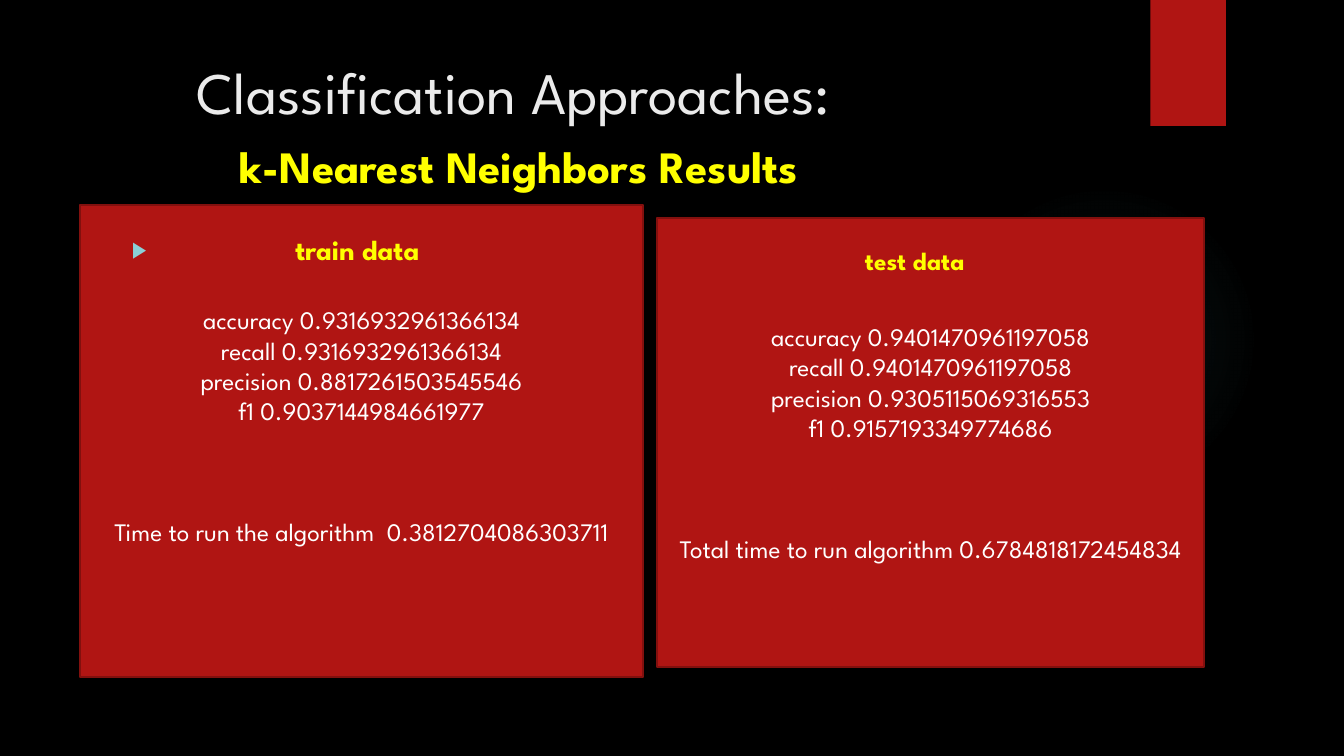
from lxml.etree import fromstring
from pptx import Presentation
from pptx.dml.color import RGBColor
from pptx.enum.shapes import MSO_SHAPE
from pptx.enum.text import MSO_ANCHOR, MSO_AUTO_SIZE, PP_ALIGN
from pptx.oxml.ns import nsdecls
from pptx.util import Inches, Pt

BLACK = RGBColor(0, 0, 0)
RED = RGBColor(0xB0, 0x15, 0x13)
DARK = RGBColor(0x82, 0x10, 0x0E)
WHITE = RGBColor(255, 255, 255)
PALE = RGBColor(0xEB, 0xEB, 0xEB)
YELLOW = RGBColor(255, 255, 0)
AQUA = RGBColor(0x8A, 0xD0, 0xD6)
TEAL = RGBColor(0x50, 0xB9, 0xC1)
FACE = "League Spartan"

TRAIN = ["accuracy 0.9316932961366134", "recall 0.9316932961366134",
         "precision 0.8817261503545546", "f1 0.9037144984661977",
         "Time to run the algorithm  0.3812704086303711"]
TEST = ["accuracy 0.9401470961197058", "recall 0.9401470961197058",
        "precision 0.9305115069316553", "f1 0.9157193349774686",
        "Total time to run algorithm 0.6784818172454834"]


def style(para, size, color, bold=False):
    font = para.font
    font.name, font.size, font.bold = FACE, Pt(size), bold
    font.color.rgb = color


def add_box(slide, kind, box):
    shape = slide.shapes.add_shape(kind, *map(Inches, box))
    shape.shadow.inherit = False
    shape.line.fill.background()
    shape.fill.solid()
    shape.fill.fore_color.rgb = RED
    return shape


def add_glow(slide, box):
    glow = add_box(slide, MSO_SHAPE.OVAL, box)
    stops = "".join(
        f'<a:gs pos="{pos}000"><a:srgbClr val="{TEAL}">'
        f'<a:alpha val="{alpha}000"/></a:srgbClr></a:gs>'
        for pos, alpha in [(0, 7), (36, 6), (69, 0)])
    grad = fromstring(
        f'<a:gradFill {nsdecls("a")}><a:gsLst>{stops}</a:gsLst>'
        '<a:path path="circle"><a:fillToRect l="50000" t="50000" '
        'r="50000" b="50000"/></a:path></a:gradFill>')
    props = glow._element.spPr
    props.replace(props.solidFill, grad)


def add_title(slide, box):
    title = slide.shapes.title
    title.left, title.top, title.width, title.height = map(Inches, box)
    frame = title.text_frame
    frame.auto_size = MSO_AUTO_SIZE.NONE
    frame.vertical_anchor = MSO_ANCHOR.TOP
    frame.text = "Classification Approaches:\nk-Nearest Neighbors Results"
    looks = [(42, PALE, False, 1.14, 0), (32, YELLOW, True, 1.57, 9)]
    for para, (size, color, bold, left, gap) in zip(frame.paragraphs, looks):
        style(para, size, color, bold)
        para.alignment = PP_ALIGN.LEFT
        para.space_before = Pt(gap)
        para._p.get_or_add_pPr().set("marL", str(Inches(left)))


def add_panel(slide, box, lines, foot):
    panel = add_box(slide, MSO_SHAPE.RECTANGLE, box)
    panel.line.color.rgb = DARK
    panel.line.width = Pt(1.5)
    frame = panel.text_frame
    frame.word_wrap = True
    frame.vertical_anchor = MSO_ANCHOR.MIDDLE
    frame.margin_bottom = Inches(foot)
    frame.text = "\n".join(lines)
    for para in frame.paragraphs:
        style(para, 18, WHITE)
        para.alignment = PP_ALIGN.CENTER
    frame.paragraphs[-1].space_before = Pt(65)


def add_head(slide, box, text, size):
    label = slide.shapes.add_textbox(*map(Inches, box))
    frame = label.text_frame
    frame.word_wrap = True
    frame.text = text
    para = frame.paragraphs[0]
    style(para, size, YELLOW, True)
    return para


def add_bullet(para, indent):
    props = para._p.get_or_add_pPr()
    props.set("marL", str(Inches(indent)))
    props.set("indent", str(-Inches(indent)))
    marks = fromstring(
        f'<a:pPr {nsdecls("a")}><a:buClr><a:srgbClr val="{AQUA}"/></a:buClr>'
        '<a:buSzPct val="80000"/><a:buFont typeface="Arial"/>'
        '<a:buChar char="▶"/></a:pPr>')
    for spot, mark in enumerate(list(marks)):
        props.insert(spot, mark)


def build():
    deck = Presentation()
    deck.slide_width, deck.slide_height = Inches(13.33), Inches(7.5)
    slide = deck.slides.add_slide(deck.slide_layouts[5])
    slide.background.fill.solid()
    slide.background.fill.fore_color.rgb = BLACK
    add_glow(slide, (9.41, 1.83, 3.08, 3.08))
    add_box(slide, MSO_SHAPE.RECTANGLE, (11.41, 0, 0.75, 1.25))
    add_panel(slide, (6.52, 2.16, 5.42, 4.46), TEST, 0.05)
    add_panel(slide, (0.79, 2.03, 5.59, 4.69), TRAIN, 0.35)
    add_title(slide, (0.71, 0.5, 10.29, 1.53))
    train = add_head(slide, (1.21, 2.26, 5.32, 4.59), "train data", 20)
    add_bullet(train, 1.62)
    add_head(slide, (8.48, 2.38, 1.81, 0.4), "test data", 18)
    deck.save("out.pptx")


if __name__ == "__main__":
    build()
